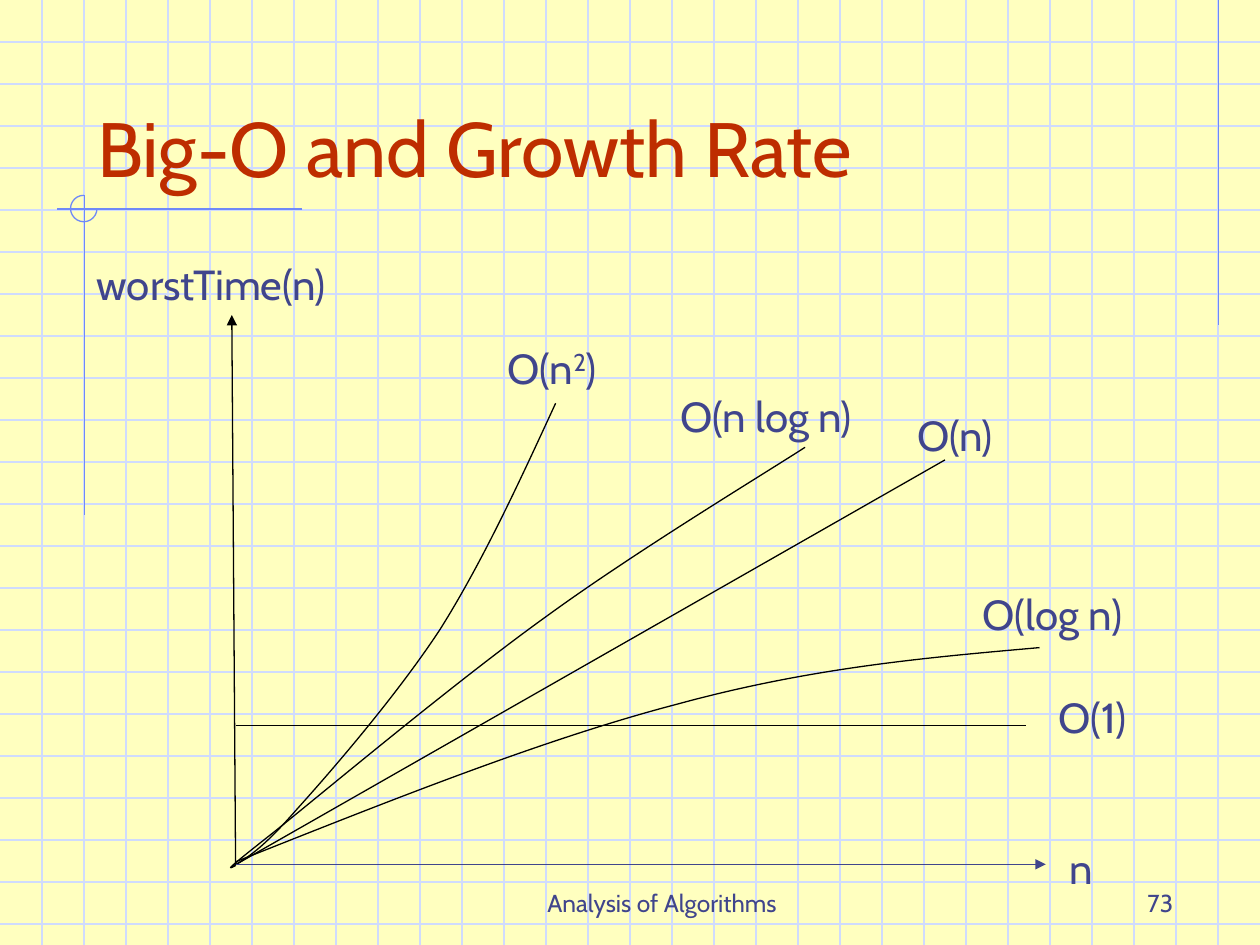
import pptx
import pptx.dml.color
import pptx.enum.shapes
import pptx.enum.text
import pptx.oxml
import pptx.oxml.ns
import pptx.util
from pptx.util import Inches

FONT, INK, RED = "Cabin", "40458C", "BE2D00"
GRID, BLUE, BLACK = "CFDBFD", "6F89F7", "000000"
ALIGN = pptx.enum.text.PP_ALIGN
ANCHOR = pptx.enum.text.MSO_ANCHOR


def color(code):
    return pptx.dml.color.RGBColor.from_string(code)


def element(tag, rest=""):
    return pptx.oxml.parse_xml(
        "<a:%s %s %s/>" % (tag, pptx.oxml.ns.nsdecls("a"), rest))


class Page:
    def __init__(self, deck, back):
        self.slide = deck.slides.add_slide(deck.slide_layouts[5])
        self.shapes = self.slide.shapes
        fill = self.slide.background.fill
        fill.solid()
        fill.fore_color.rgb = color(back)

    def stroke(self, shape, code):
        shape.line.color.rgb = color(code)
        shape.line.width = pptx.util.Pt(0.75)

    def style(self, frame, size, code, align, anchor):
        frame.word_wrap = True
        frame.vertical_anchor = anchor
        para = frame.paragraphs[0]
        para.alignment = align
        for run in para.runs:
            run.font.name = FONT
            run.font.size = pptx.util.Pt(size)
            run.font.color.rgb = color(code)

    def title(self, text, x, y, w, h):
        shape = self.shapes.title
        shape.left, shape.top = Inches(x), Inches(y)
        shape.width, shape.height = Inches(w), Inches(h)
        shape.text_frame.text = text
        self.style(shape.text_frame, 44, RED, ALIGN.LEFT, ANCHOR.BOTTOM)
        # Bring the title in front of the grid
        self.shapes._spTree.append(shape._element)

    def text(self, parts, x, y, w, h=0.5, size=24, align=ALIGN.LEFT,
             anchor=ANCHOR.TOP):
        """Parts alternate between normal and raised text."""
        box = self.shapes.add_textbox(Inches(x), Inches(y),
                                      Inches(w), Inches(h))
        para = box.text_frame.paragraphs[0]
        for i, part in enumerate(parts):
            run = para.add_run()
            run.text = part
            if i % 2:
                run._r.get_or_add_rPr().set("baseline", "30000")
        self.style(box.text_frame, size, INK, align, anchor)

    def line(self, x1, y1, x2, y2, code=BLACK, arrow=False):
        line = self.shapes.add_connector(
            pptx.enum.shapes.MSO_CONNECTOR.STRAIGHT,
            Inches(x1), Inches(y1), Inches(x2), Inches(y2))
        self.stroke(line, code)
        if arrow:
            line.line._get_or_add_ln().append(
                element("tailEnd", 'type="triangle"'))
        line._element.spPr.append(element("effectLst"))

    def curve(self, *knots):
        """First knot is the start; each three more make one cubic."""
        dots = [(Inches(x), Inches(y)) for x, y in knots]
        pen = self.shapes.build_freeform(*dots[0])
        pen.add_line_segments(dots[1:], close=False)
        shape = pen.convert_to_shape()
        # Join each three straight steps into one cubic
        steps = shape._element.xpath(".//a:lnTo")
        for i in range(0, len(steps), 3):
            cubic = element("cubicBezTo")
            steps[i].addprevious(cubic)
            for step in steps[i:i + 3]:
                cubic.append(step[0])
                step.getparent().remove(step)
        shape.shadow.inherit = False
        shape.fill.background()
        self.stroke(shape, BLACK)

    def arc(self, x, y, size):
        shape = self.shapes.add_shape(
            pptx.enum.shapes.MSO_SHAPE.ARC,
            Inches(x), Inches(y), Inches(size), Inches(size))
        # Three quarters, from 0 to 270 degrees
        shape.adjustments[0] = 0
        shape.adjustments[1] = 270 * 0.6
        shape.shadow.inherit = False
        shape.fill.background()
        self.stroke(shape, BLUE)


def main():
    deck = pptx.Presentation()
    deck.slide_width, deck.slide_height = Inches(10), Inches(7.5)
    page = Page(deck, "FFFFBF")

    # Squared paper, three squares to the inch
    for i in range(1, 23):
        page.line(0, i / 3, 10, i / 3, GRID)
    for i in range(1, 30):
        page.line(i / 3, 0, i / 3, 7.5, GRID)

    # Blue guide lines
    page.line(9.67, 0, 9.67, 2.58, BLUE)
    page.line(2.4, 1.66, 0.45, 1.66, BLUE)
    page.line(0.67, 1.55, 0.67, 4.09, BLUE)
    page.arc(0.56, 1.55, 0.21)

    # Footer and title
    page.text(["Analysis of Algorithms"], 3.67, 6.83, 3.17, size=14,
              align=ALIGN.CENTER, anchor=ANCHOR.BOTTOM)
    page.text(["73"], 7.33, 6.83, 2.08, size=14,
              align=ALIGN.RIGHT, anchor=ANCHOR.BOTTOM)
    page.title("Big-O and Growth Rate", 0.67, 0.33, 8.5, 1.25)

    # Growth curves: 1, log n, n log n, n, n squared
    page.line(1.87, 5.76, 8.14, 5.76)
    page.curve((1.87, 6.84), (3.08, 6.36), (4.3, 5.87), (5.37, 5.59),
               (6.43, 5.3), (7.34, 5.22), (8.25, 5.14))
    page.curve((1.87, 6.87), (1.81, 6.9), (1.76, 6.93), (2.18, 6.6),
               (2.59, 6.27), (3.63, 5.4), (4.34, 4.89),
               (5.04, 4.38), (6.05, 3.77), (6.39, 3.55))
    page.line(1.84, 6.88, 7.5, 3.65)
    page.curve((1.84, 6.88), (1.96, 6.81), (2.08, 6.74), (2.35, 6.43),
               (2.63, 6.12), (3.14, 5.53), (3.49, 5),
               (3.83, 4.46), (4.12, 3.83), (4.41, 3.2))

    # Axes
    page.line(1.87, 6.86, 1.84, 2.5, arrow=True)
    page.line(1.87, 6.86, 8.3, 6.86, INK, arrow=True)

    # Labels
    for parts, x, y, w in (
            (["O(n", "2", ")"], 3.93, 2.67, 1.2),
            (["O(n log n)"], 5.3, 3.05, 1.71),
            (["O(n)"], 7.18, 3.2, 1.11),
            (["O(log n)"], 7.7, 4.62, 1.54),
            (["O(1)"], 8.3, 5.44, 1.2),
            (["n"], 8.39, 6.64, 0.6),
            (["worstTime(n)"], 0.67, 2, 2.4)):
        page.text(parts, x, y, w)

    deck.save("out.pptx")


if __name__ == "__main__":
    main()
